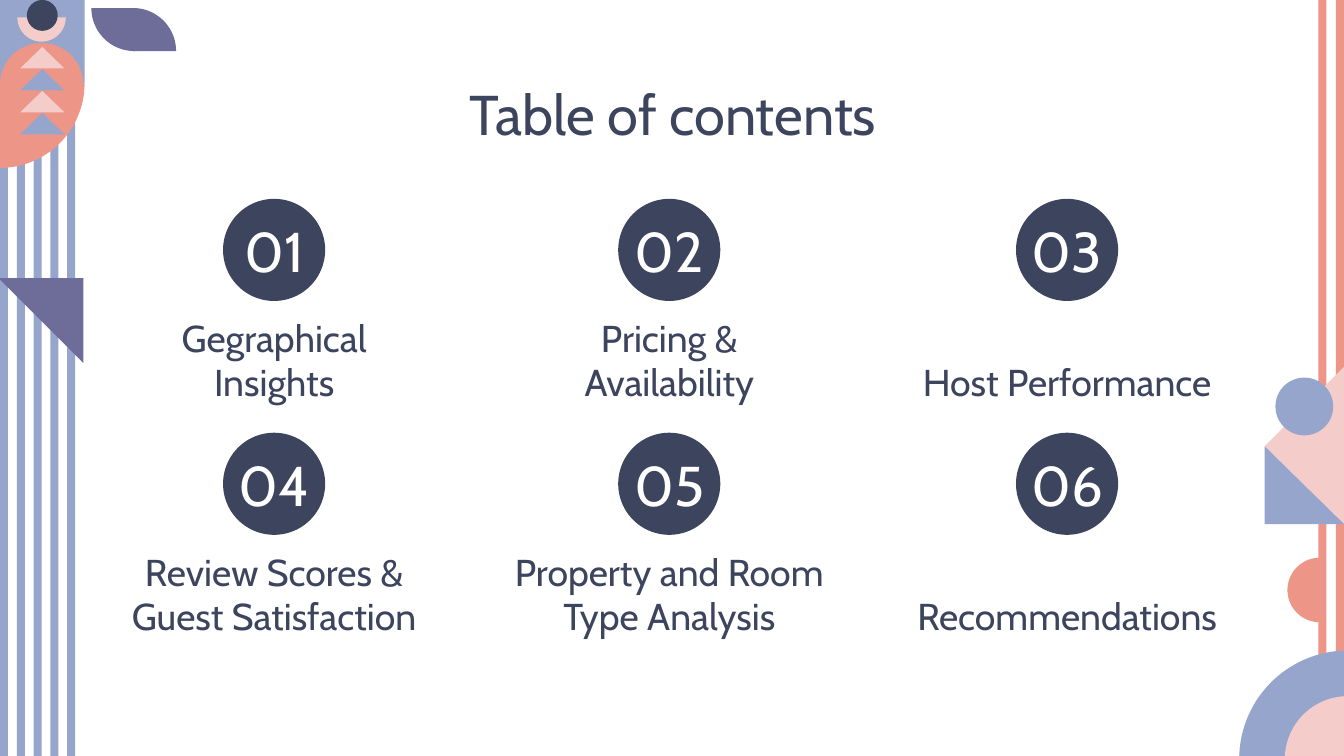
"""Builds a table of contents slide with geometric borders."""
from math import cos, radians, sin

from pptx import Presentation
from pptx.dml.color import RGBColor
from pptx.enum.shapes import MSO_SHAPE
from pptx.enum.text import MSO_ANCHOR, PP_ALIGN
from pptx.util import Inches, Pt

OVAL = MSO_SHAPE.OVAL
RECTANGLE = MSO_SHAPE.RECTANGLE
TRIANGLE = MSO_SHAPE.ISOSCELES_TRIANGLE
TOP, BOTTOM = MSO_ANCHOR.TOP, MSO_ANCHOR.BOTTOM
CENTER = PP_ALIGN.CENTER

NAVY = RGBColor(0x3C, 0x44, 0x5E)
BLUE = RGBColor(0x96, 0xA5, 0xCB)
CORAL = RGBColor(0xED, 0x96, 0x88)
PINK = RGBColor(0xF4, 0xCD, 0xCA)
PURPLE = RGBColor(0x6E, 0x6C, 0x98)
WHITE = RGBColor(0xFF, 0xFF, 0xFF)

FONT = "Cabin"
CIRCLE_LEFTS = (1.66, 4.6, 7.56)
CIRCLE_TOPS = (1.48, 3.22)
TOPICS = (
    "Gegraphical Insights",
    "Pricing & Availability",
    "Host Performance",
    "Review Scores & Guest Satisfaction",
    "Property and Room Type Analysis",
    "Recommendations",
)


def paint(shape, color):
    """Give a shape a flat fill with no outline or shadow."""
    shape.shadow.inherit = False
    shape.fill.solid()
    shape.fill.fore_color.rgb = color
    shape.line.fill.background()


def add_preset(page, kind, left, top, width, height, color):
    """Add a flat preset shape."""
    shape = page.shapes.add_shape(
        kind, Inches(left), Inches(top), Inches(width), Inches(height))
    paint(shape, color)


def add_polygon(page, points, color):
    """Add a flat closed outline through the given points."""
    corners = [(Inches(x), Inches(y)) for x, y in points]
    builder = page.shapes.build_freeform(*corners[0])
    builder.add_line_segments(corners[1:], close=True)
    paint(builder.convert_to_shape(), color)


def add_sector(page, x, y, radius, start, end, color):
    """Add a circle sector between two clockwise angles in degrees."""
    arc = [(x + radius * cos(radians(angle)), y + radius * sin(radians(angle)))
           for angle in range(start, end + 1, 3)]
    add_polygon(page, [(x, y)] + arc, color)


def add_text(page, text, left, top, width, height, size, color, anchor):
    """Add a centred text box."""
    box = page.shapes.add_textbox(
        Inches(left), Inches(top), Inches(width), Inches(height))
    frame = box.text_frame
    frame.word_wrap = True
    frame.vertical_anchor = anchor
    frame.margin_left = frame.margin_right = Inches(0.1)
    frame.margin_top = frame.margin_bottom = Inches(0.1)
    para = frame.paragraphs[0]
    para.alignment = CENTER
    span = para.add_run()
    span.text = text
    span.font.name = FONT
    span.font.size = Pt(size)
    span.font.color.rgb = color


def add_left_border(page):
    """Draw the stripes, tree and leaf on the left."""
    for index in range(5):
        add_preset(page, RECTANGLE, index / 8, 0.79, 0.06, 4.86, BLUE)
    add_sector(page, 0, 0.62, 0.63, 0, 90, CORAL)
    add_preset(page, RECTANGLE, 0, 0, 0.63, 0.62, BLUE)
    add_sector(page, 0.31, 0.63, 0.31, 180, 360, CORAL)
    add_sector(page, 0.31, 0.13, 0.18, 0, 180, PINK)
    add_preset(page, OVAL, 0.2, 0, 0.23, 0.23, NAVY)
    for index, color in enumerate((PINK, BLUE, PINK, BLUE)):
        add_preset(page, TRIANGLE, 0.15, 0.35 + index * 0.49 / 3, 0.33, 0.16, color)
    add_sector(page, 0.99, 0.38, 0.32, 270, 360, PURPLE)
    add_sector(page, 1, 0.06, 0.32, 90, 180, PURPLE)
    add_polygon(page, [(-0.01, 2.07), (0.62, 2.7), (0.62, 2.07)], PURPLE)


def add_right_border(page):
    """Draw the stripes, triangles and arches on the right."""
    for left in (9.94, 9.81):
        add_preset(page, RECTANGLE, left, 0, 0.06, 5.04, CORAL)
    add_polygon(page, [(10, 3.9), (9.41, 3.32), (10, 2.73)], PINK)
    add_polygon(page, [(9.41, 3.9), (9.41, 3.32), (10, 3.9)], BLUE)
    add_sector(page, 9.82, 4.39, 0.24, 90, 270, CORAL)
    add_sector(page, 10.03, 5.65, 0.81, 180, 270, BLUE)
    add_preset(page, OVAL, 9.56, 5.18, 0.94, 0.94, PINK)
    add_preset(page, OVAL, 9.49, 2.81, 0.43, 0.43, BLUE)


def add_topic(page, number, topic, left, top):
    """Add a numbered circle with its topic below."""
    add_preset(page, OVAL, left, top, 0.76, 0.76, NAVY)
    add_text(page, f"{number:02}", left - 0.02, top + 0.15, 0.8, 0.58,
             30, WHITE, BOTTOM)
    add_text(page, topic, left - 0.88, top + 0.93, 2.52, 0.7, 20, NAVY, BOTTOM)


def main():
    """Build and save the deck."""
    deck = Presentation()
    deck.slide_width = Inches(10)
    deck.slide_height = deck.slide_width * 9 // 16
    page = deck.slides.add_slide(deck.slide_layouts[6])
    add_left_border(page)
    add_right_border(page)
    add_text(page, "Table of contents", 0.79, 0.49, 8.43, 0.63, 30, NAVY, TOP)
    for index, topic in enumerate(TOPICS):
        row, column = divmod(index, len(CIRCLE_LEFTS))
        add_topic(page, index + 1, topic, CIRCLE_LEFTS[column], CIRCLE_TOPS[row])
    deck.save("out.pptx")


if __name__ == "__main__":
    main()
